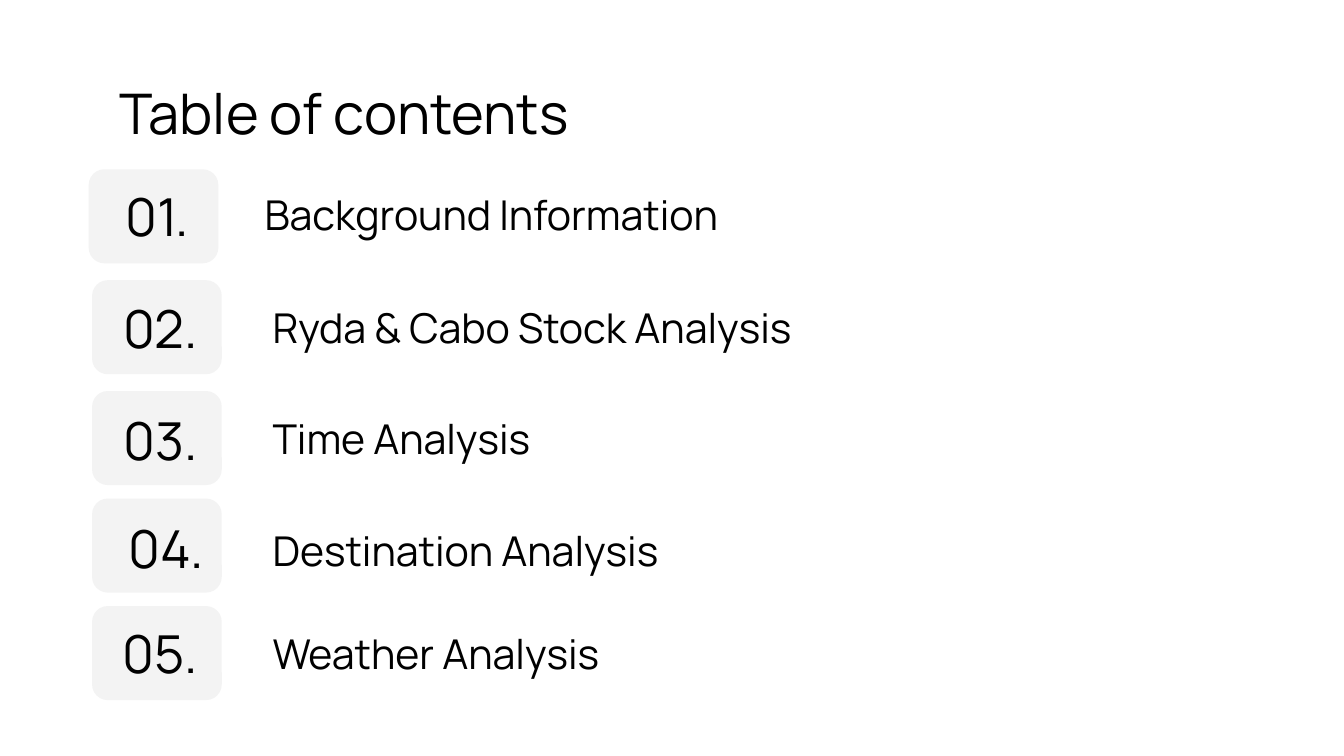
from dataclasses import dataclass

from pptx import Presentation
from pptx.dml.color import RGBColor
from pptx.enum.shapes import MSO_SHAPE as Shape
from pptx.enum.text import MSO_ANCHOR as Anchor, PP_ALIGN as Align
from pptx.slide import Slide
from pptx.util import Emu, Pt

EMU_PER_PX = 4572
FONT = "Manrope"
BLACK = "000000"
BADGE_FILL = "F3F3F3"


@dataclass
class Box:
    """A rectangle in px."""
    left: int
    top: int
    width: int
    height: int


@dataclass
class Entry:
    """One line of the contents, with its badge, number and heading."""
    number: str
    heading: str
    badge: Box
    number_box: Box
    heading_box: Box


ENTRIES = [
    Entry("01.", "Background Information", Box(132, 252, 193, 140),
          Box(127, 268, 214, 106), Box(374, 261, 1288, 116)),
    Entry("02.", "Ryda & Cabo Stock Analysis", Box(137, 417, 193, 140),
          Box(132, 434, 214, 106), Box(386, 428, 1288, 116)),
    Entry("03.", "Time Analysis", Box(137, 582, 193, 140),
          Box(132, 602, 214, 106), Box(386, 594, 666, 116)),
    Entry("04.", "Destination Analysis", Box(137, 742, 193, 140),
          Box(133, 762, 228, 106), Box(386, 761, 996, 116)),
    Entry("05.", "Weather Analysis", Box(137, 902, 193, 140),
          Box(132, 918, 214, 106), Box(386, 914, 732, 116)),
]


def px(length: int) -> Emu:
    """Turn px into EMU."""
    return Emu(length * EMU_PER_PX)


def color(value: str) -> RGBColor:
    """Turn a hex string into a colour."""
    return RGBColor.from_string(value)


def place(box: Box) -> tuple[Emu, Emu, Emu, Emu]:
    """Give the left, top, width and height of a box in EMU."""
    return px(box.left), px(box.top), px(box.width), px(box.height)


def add_badge(slide: Slide, box: Box) -> None:
    """Draw the rounded tile behind a number."""
    shape = slide.shapes.add_shape(Shape.ROUNDED_RECTANGLE, *place(box))
    shape.shadow.inherit = False
    shape.fill.solid()
    shape.fill.fore_color.rgb = color(BADGE_FILL)
    shape.line.fill.background()


def add_text(slide: Slide, text: str, box: Box, size: int,
             align: Align = Align.LEFT, anchor: Anchor = Anchor.MIDDLE) -> None:
    """Write one paragraph in a text box."""
    frame = slide.shapes.add_textbox(*place(box)).text_frame
    frame.word_wrap = True
    frame.vertical_anchor = anchor
    frame.margin_left = frame.margin_right = px(20)
    frame.margin_top = frame.margin_bottom = px(20)
    paragraph = frame.paragraphs[0]
    paragraph.text = text
    paragraph.alignment = align
    paragraph.font.name = FONT
    paragraph.font.size = Pt(size)
    paragraph.font.color.rgb = color(BLACK)


def add_entry(slide: Slide, entry: Entry) -> None:
    """Draw one line of the contents."""
    add_badge(slide, entry.badge)
    add_text(slide, entry.number, entry.number_box, 28, Align.CENTER)
    add_text(slide, entry.heading, entry.heading_box, 22)


def main() -> None:
    """Build and save the slide."""
    presentation = Presentation()
    presentation.slide_width, presentation.slide_height = px(2000), px(1125)
    slide = presentation.slides.add_slide(presentation.slide_layouts[6])
    add_text(slide, "Table of contents", Box(158, 97, 1686, 126), 30, anchor=Anchor.TOP)
    for entry in ENTRIES:
        add_entry(slide, entry)
    presentation.save("out.pptx")


if __name__ == "__main__":
    main()
